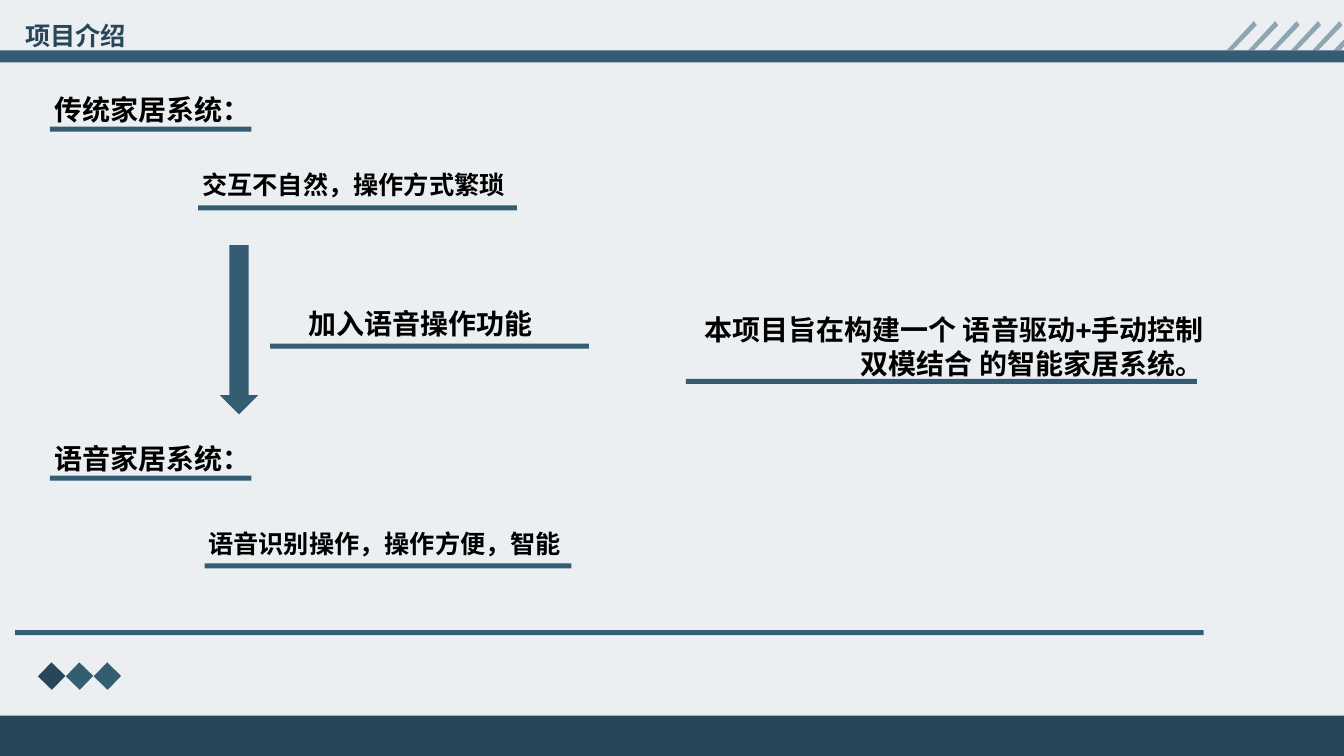
from dataclasses import dataclass

from lxml import etree
from pptx import Presentation
from pptx.dml.color import RGBColor
from pptx.enum.shapes import MSO_SHAPE
from pptx.enum.text import MSO_ANCHOR, MSO_AUTO_SIZE, PP_ALIGN
from pptx.oxml.ns import qn
from pptx.util import Pt

RECT, ARROW = MSO_SHAPE.RECTANGLE, MSO_SHAPE.DOWN_ARROW
LEFT, RIGHT = PP_ALIGN.LEFT, PP_ALIGN.RIGHT
TOP, GROW = MSO_ANCHOR.TOP, MSO_AUTO_SIZE.SHAPE_TO_FIT_TEXT

COLORS = {"back": "EBEFF1", "blue": "345D74", "dark": "274657", "text": "000000"}
LATIN, ASIAN = "Arial", "Noto Sans CJK SC"


@dataclass
class Bar:
    x: float
    y: float
    w: float
    h: float
    color: str = "blue"
    kind: int = RECT
    turn: float = 0


@dataclass
class Label:
    text: str
    x: float
    y: float
    w: float
    h: float
    size: int
    rule: Bar
    align: int = LEFT


def rgb(name: str) -> RGBColor:
    return RGBColor.from_string(COLORS[name])


def paint(shape, color: str) -> None:
    shape.shadow.inherit = False
    shape.fill.solid()
    shape.fill.fore_color.rgb = rgb(color)
    shape.line.fill.background()


def draw_bar(slide, bar: Bar) -> None:
    shape = slide.shapes.add_shape(bar.kind, Pt(bar.x), Pt(bar.y), Pt(bar.w), Pt(bar.h))
    shape.rotation = bar.turn
    paint(shape, bar.color)


def write(box, text: str, size: int, color: str, font: str, align: int) -> None:
    frame = box.text_frame
    frame.word_wrap = True
    frame.auto_size = GROW
    frame.vertical_anchor = TOP
    para = frame.paragraphs[0]
    para.alignment = align
    run = para.add_run()
    run.text = text
    run.font.size = Pt(size)
    run.font.bold = True
    run.font.color.rgb = rgb(color)
    run.font.name = font
    asian = etree.SubElement(run.font._element, qn("a:ea"))
    asian.set("typeface", ASIAN)


def draw_label(slide, label: Label) -> None:
    box = slide.shapes.add_textbox(Pt(label.x), Pt(label.y), Pt(label.w), Pt(label.h))
    write(box, label.text, label.size, "text", LATIN, label.align)
    draw_bar(slide, label.rule)


def draw_hatch(slide) -> None:
    """Five whole slanted stripes and one cut by the slide edge."""
    stripe = [(0, 36), (19.4, 15.1), (21.6, 18), (4.3, 36)]
    parts = [[(876.2 + 15.3 * i + x, y) for x, y in stripe] for i in range(5)]
    parts.append([(952.6, 36), (960, 28.1), (960, 33.1), (957.6, 36)])
    pen = slide.shapes.build_freeform(Pt(parts[0][0][0]), Pt(parts[0][0][1]))
    for i, part in enumerate(parts):
        points = [(Pt(x), Pt(y)) for x, y in part]
        if i:
            pen.move_to(*points[0])
        pen.add_line_segments(points[1:], close=True)
    shape = pen.convert_to_shape()
    paint(shape, "blue")
    tint = shape._element.spPr.find(qn("a:solidFill"))[0]
    etree.SubElement(tint, qn("a:alpha")).set("val", "50000")


def draw_title(slide, text: str) -> None:
    title = slide.shapes.title
    title.left, title.top, title.width, title.height = Pt(10.8), Pt(10.8), Pt(285), Pt(29)
    write(title, text, 18, "dark", ASIAN, LEFT)


BARS = [
    Bar(0, 511.2, 960, 28.8, "dark"),  # footer
    Bar(0, 36, 960, 8.6),  # header
    Bar(10.8, 450, 849, 3.6),  # lower rule
    Bar(157, 175, 27.4, 121, kind=ARROW),
]
# Three diamonds above the footer
BARS += [Bar(30 + 19.9 * i, 476, 13.9, 13.9, c, turn=314)
         for i, c in enumerate(("dark", "blue", "blue"))]

LABELS = [
    Label("传统家居系统：", 31.7, 62.6, 186.5, 31.5, 20, Bar(35.6, 90.5, 144, 3.6)),
    Label("交互不自然，操作方式繁琐", 137.5, 117.4, 232, 29, 18, Bar(141.6, 146.7, 227.6, 3.6)),
    Label("加入语音操作功能", 213, 215.3, 186.5, 31.5, 20, Bar(193, 245.4, 227.6, 3.6)),
    Label("语音家居系统：", 31.7, 311.8, 186.5, 31.5, 20, Bar(35.6, 339.7, 144, 3.6)),
    Label("语音识别操作，操作方便，智能", 141.8, 373.7, 266.4, 51, 18, Bar(146.2, 402.4, 262, 3.6)),
    Label("本项目旨在构建一个 语音驱动+手动控制双模结合 的智能家居系统。",
          486, 219.6, 381, 55.7, 20, Bar(490, 270.7, 365, 3.6), RIGHT),
]


def main() -> None:
    deck = Presentation()
    deck.slide_width, deck.slide_height = Pt(960), Pt(540)
    slide = deck.slides.add_slide(deck.slide_layouts[5])
    slide.background.fill.solid()
    slide.background.fill.fore_color.rgb = rgb("back")
    draw_title(slide, "项目介绍")
    draw_hatch(slide)
    for bar in BARS:
        draw_bar(slide, bar)
    for label in LABELS:
        draw_label(slide, label)
    deck.save("out.pptx")


if __name__ == "__main__":
    main()
